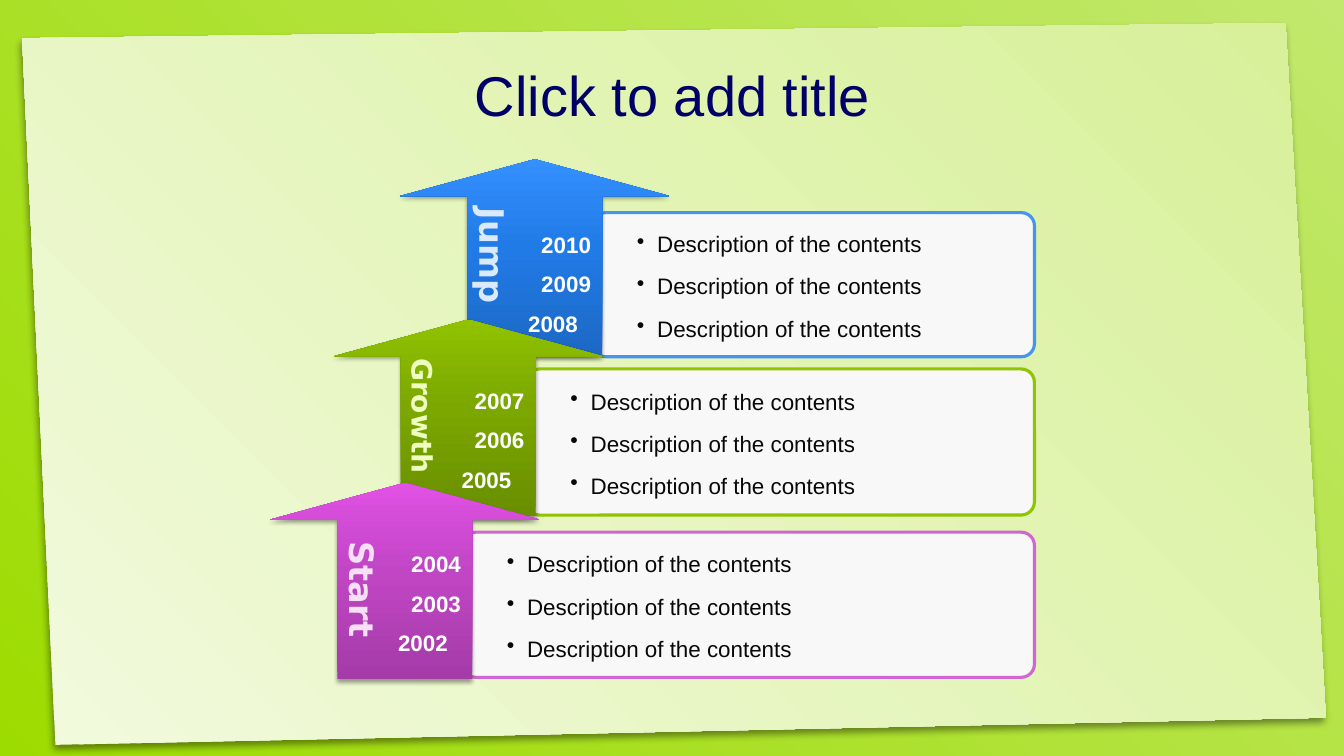
import pptx
import pptx.dml.color
import pptx.enum.shapes
import pptx.enum.text
import pptx.oxml
import pptx.util
from collections import namedtuple
from dataclasses import dataclass

Inches = pptx.util.Inches
Pt = pptx.util.Pt
SHAPE = pptx.enum.shapes.MSO_SHAPE
ALIGN = pptx.enum.text.PP_ALIGN
ANCHOR = pptx.enum.text.MSO_ANCHOR
A = 'xmlns:a="http://schemas.openxmlformats.org/drawingml/2006/main"'

Box = namedtuple("Box", "left top width height")
Shadow = namedtuple("Shadow", "alpha blur dist angle")
Band = namedtuple("Band", "label label_size label_color label_inset line grad years arrow panel_top panel_height")


@dataclass(frozen=True)
class Theme:
    """Colours, fonts and type sizes of the slide."""
    font: str = "Arial"
    label_font: str = "DejaVu Sans"
    title_size: int = 40
    body_size: int = 16
    title: str = "000066"
    body: str = "080808"
    year: str = "FEFFFF"
    panel: str = "F8F8F8"
    backdrop: tuple = ((0, "9DDC00"), (100, "C2E86D"))
    sheet: tuple = ((0, "F2FADD"), (100, "D7F098"))
    sheet_shadow: Shadow = Shadow(41, 5, 4, 100)
    arrow_shadow: Shadow = Shadow(38, 3.1, 2, 90)


T = Theme()
BODY = ["Description of the contents"] * 3
PANEL_RIGHT = 10.26
BANDS = [
    Band("Jump", 24, "DAE9FC", 0.3, "4693F0", ("1C68C4", "217BE7", "3490FF"),
         ("2010", "2009", "2008"), Box(3.97, 1.58, 2.67, 1.95), 2.11, 1.43),
    Band("Growth", 20, "EFFFC0", 0.2, "91C400", ("698E00", "7BA700", "90C200"),
         ("2007", "2006", "2005"), Box(3.31, 3.17, 2.67, 1.95), 3.66, 1.45),
    Band("Start", 24, "F6E0F6", 0.4, "D066D3", ("A43BA7", "C146C5", "E151E5"),
         ("2004", "2003", "2002"), Box(2.68, 4.79, 2.67, 1.95), 5.28, 1.44),
]


def rgb(color):
    """Turn a hex string into a colour."""
    return pptx.dml.color.RGBColor.from_string(color)


def apply(target, values):
    """Set attributes from a dict of format values."""
    for name, value in values.items():
        setattr(target, name, value)


def set_gradient(fill, stops, angle):
    """Fill with colour stops along a clockwise angle."""
    fill.gradient()
    grad = fill._fill._gradFill
    for child in list(grad):
        grad.remove(child)
    gs = "".join(f'<a:gs pos="{pos * 1000}"><a:srgbClr val="{color}"/></a:gs>' for pos, color in stops)
    grad.append(pptx.oxml.parse_xml(f"<a:gsLst {A}>{gs}</a:gsLst>"))
    grad.append(pptx.oxml.parse_xml(f'<a:lin {A} ang="{angle * 60000}" scaled="0"/>'))


def set_shadow(sp, shadow):
    """Give a shape a soft black outer shadow."""
    sp.shadow.inherit = False
    sp._element.spPr.find(pptx.oxml.ns.qn("a:effectLst")).append(pptx.oxml.parse_xml(
        f'<a:outerShdw {A} blurRad="{Pt(shadow.blur)}" dist="{Pt(shadow.dist)}" '
        f'dir="{shadow.angle * 60000}" algn="t" rotWithShape="0"><a:srgbClr val="000000">'
        f'<a:alpha val="{shadow.alpha * 1000}"/></a:srgbClr></a:outerShdw>'))


def write(tf, lines, font, para, frame):
    """Write lines as equally formatted paragraphs and return them."""
    apply(tf, frame)
    for i, line in enumerate(lines):
        p = tf.paragraphs[0] if i == 0 else tf.add_paragraph()
        apply(p, para)
        r = p.add_run()
        r.text = line
        apply(r.font, {k: v for k, v in font.items() if k != "color"})
        r.font.color.rgb = rgb(font["color"])
    return tf.paragraphs


def add_box(s, box, kind=None):
    """Add a preset shape, or a text box when no kind is given."""
    place = [Inches(v) for v in box]
    if kind is None:
        return s.shapes.add_textbox(*place)
    return s.shapes.add_shape(kind, *place)


def draw_backdrop(s):
    """Paint the background and the slanted sheet."""
    set_gradient(s.background.fill, T.backdrop, 315)
    corners = [(0.22, 0.38), (0.55, 7.39), (13.15, 7.12), (12.75, 0.23)]
    points = [(Inches(x), Inches(y)) for x, y in corners]
    fb = s.shapes.build_freeform(*points[0])
    fb.add_line_segments(points[1:], close=True)
    sp = fb.convert_to_shape()
    set_gradient(sp.fill, T.sheet, 315)
    sp.line.fill.background()
    set_shadow(sp, T.sheet_shadow)


def draw_title(s, box):
    """Write the centred slide title."""
    write(add_box(s, box).text_frame, ["Click to add title"],
          {"name": T.font, "size": Pt(T.title_size), "color": T.title},
          {"alignment": ALIGN.CENTER},
          {"word_wrap": True, "vertical_anchor": ANCHOR.MIDDLE})


def draw_panel(s, box, line):
    """Draw a rounded panel with a bulleted list."""
    sp = add_box(s, box, SHAPE.ROUNDED_RECTANGLE)
    sp.adjustments[0] = 0.091
    sp.shadow.inherit = False
    sp.fill.solid()
    sp.fill.fore_color.rgb = rgb(T.panel)
    sp.line.color.rgb = rgb(line)
    sp.line.width = Pt(2.25)
    paragraphs = write(
        sp.text_frame, BODY,
        {"name": T.font, "size": Pt(T.body_size), "color": T.body},
        {"alignment": ALIGN.LEFT, "line_spacing": 1.1, "space_before": Pt(9)},
        {"word_wrap": False, "vertical_anchor": ANCHOR.MIDDLE, "margin_left": Inches(0.4)})
    for p in paragraphs:
        pPr = p._p.get_or_add_pPr()
        pPr.set("marL", str(Inches(0.2)))
        pPr.set("indent", str(-Inches(0.2)))
        pPr.append(pptx.oxml.parse_xml(f'<a:buChar {A} char="•"/>'))


def draw_arrow(s, band):
    """Draw an upward arrow with its sideways label."""
    sp = add_box(s, band.arrow, SHAPE.UP_ARROW)
    sp.adjustments[0] = 0.5
    sp.adjustments[1] = 0.187
    set_gradient(sp.fill, list(zip((0, 55, 100), band.grad)), 270)
    sp.line.fill.background()
    set_shadow(sp, T.arrow_shadow)
    tf = sp.text_frame
    write(tf, [band.label],
          {"name": T.label_font, "size": Pt(band.label_size), "bold": True, "color": band.label_color},
          {"alignment": ALIGN.LEFT},
          {"word_wrap": False, "vertical_anchor": ANCHOR.BOTTOM, "margin_left": Inches(0.05),
           "margin_top": Inches(band.label_inset), "margin_right": 0, "margin_bottom": 0})
    tf._txBody.bodyPr.set("vert", "vert")


def draw_years(s, box, years):
    """Write the years, the last one set further left."""
    paragraphs = write(
        add_box(s, box).text_frame, years,
        {"name": T.font, "size": Pt(T.body_size), "bold": True, "color": T.year},
        {"alignment": ALIGN.LEFT, "space_before": Pt(9)},
        {"word_wrap": True})
    for p, indent in zip(paragraphs, (0.14, 0.14, 0.01)):
        p._p.get_or_add_pPr().set("marL", str(Inches(indent)))


def draw_band(s, band):
    """Draw one stage: panel, arrow and years."""
    left = band.arrow.left + 1.91
    draw_panel(s, Box(left, band.panel_top, PANEL_RIGHT - left, band.panel_height), band.line)
    draw_arrow(s, band)
    draw_years(s, Box(band.arrow.left + 1.16, band.panel_top + 0.13, 0.83, 1.18), band.years)


def main():
    """Build the slide and save it."""
    prs = pptx.Presentation()
    prs.slide_width = Inches(13.33)
    prs.slide_height = Inches(7.5)
    s = prs.slides.add_slide(prs.slide_layouts[6])
    draw_backdrop(s)
    for band in BANDS:
        draw_band(s, band)
    draw_title(s, Box(0.67, 0.48, 12, 0.9))
    prs.save("out.pptx")


if __name__ == "__main__":
    main()
